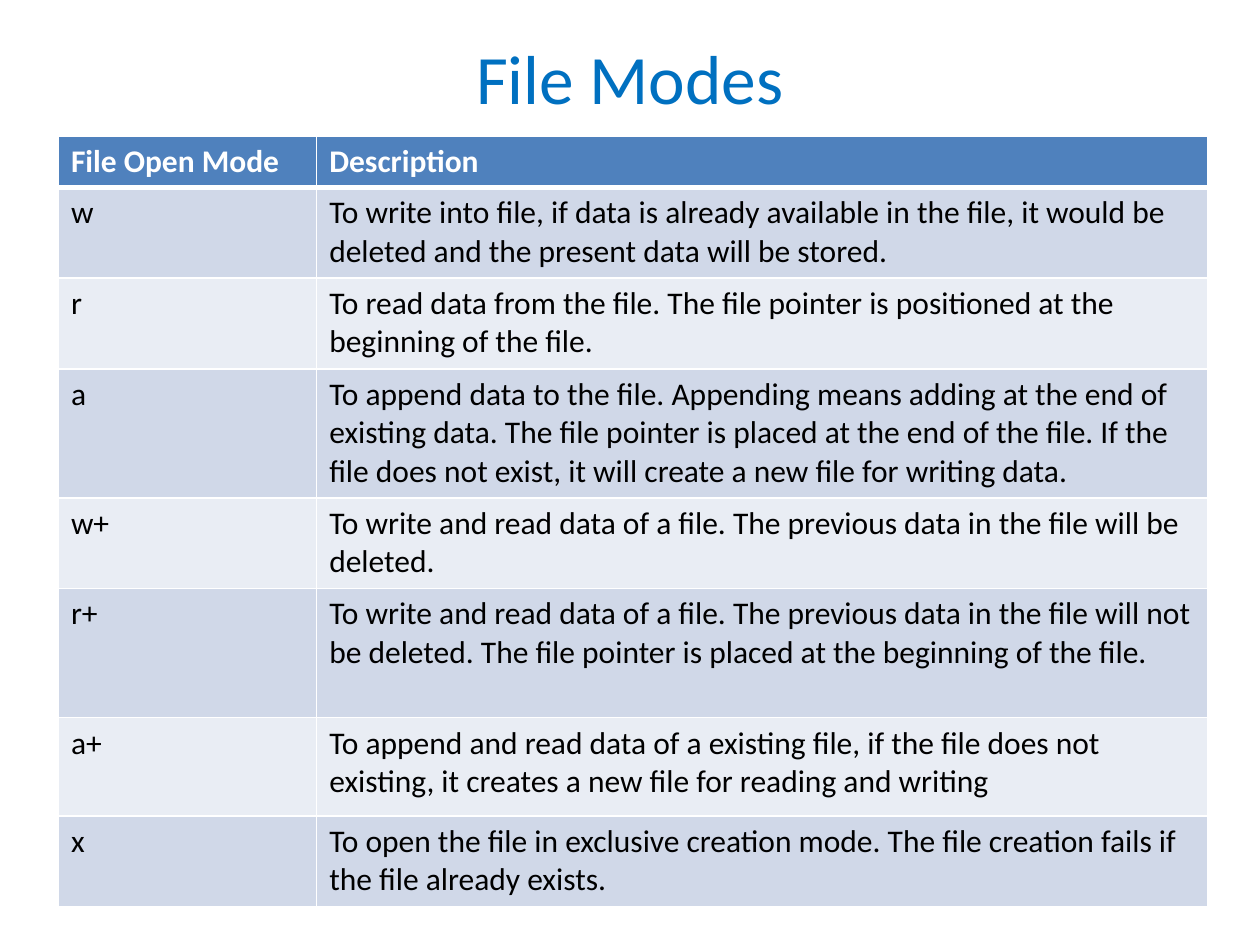
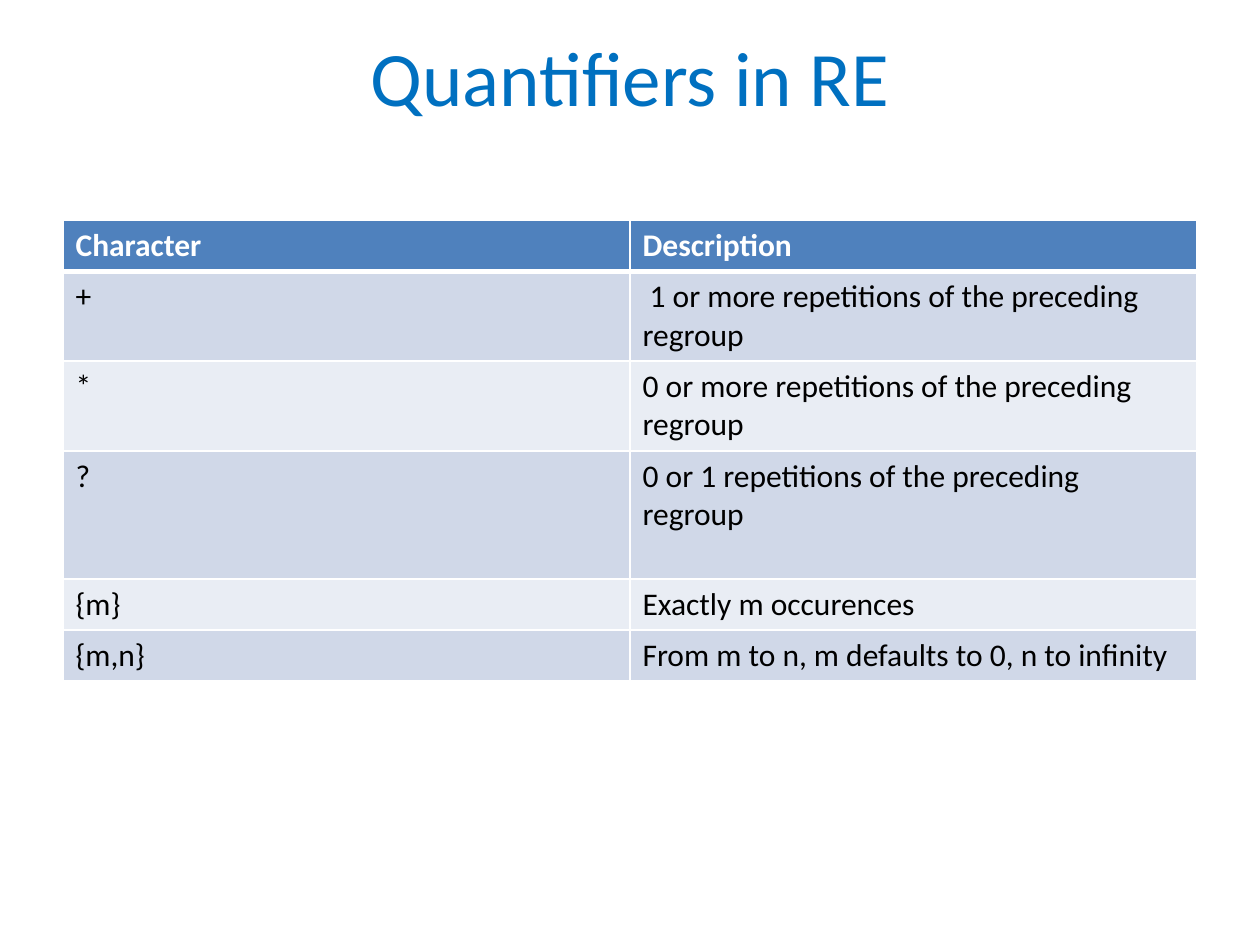
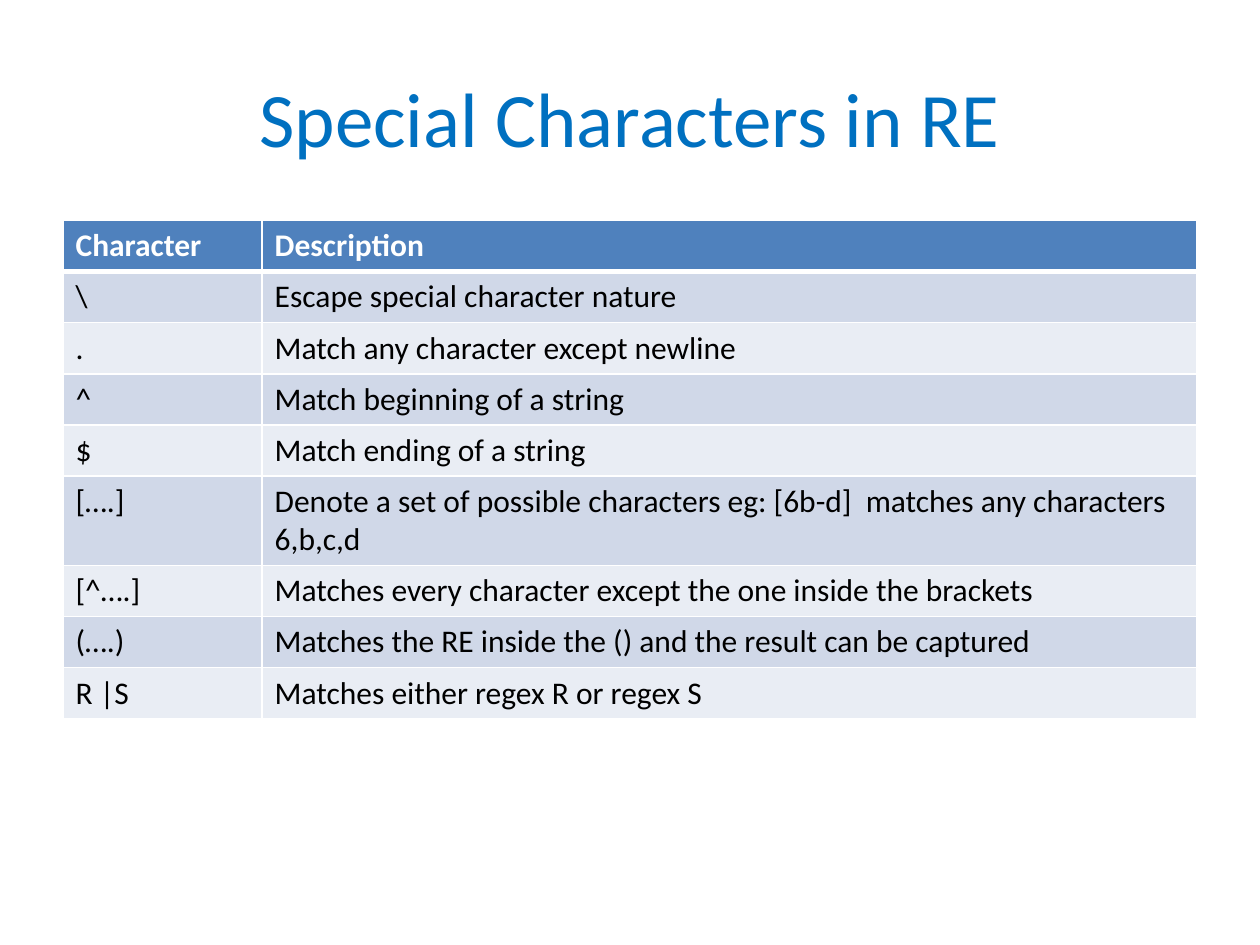
import pptx
import pptx.dml.color
import pptx.enum.text
import pptx.oxml
import pptx.oxml.ns
import pptx.util

Pt = pptx.util.Pt
RGBColor = pptx.dml.color.RGBColor

FONT = "Calibri"
TITLE_BLUE = RGBColor(0x00, 0x70, 0xC0)
HEADER_BLUE = RGBColor(0x4F, 0x81, 0xBD)
BAND_DARK = RGBColor(0xD0, 0xD8, 0xE8)
BAND_LIGHT = RGBColor(0xE9, 0xED, 0xF4)
WHITE = RGBColor(0xFF, 0xFF, 0xFF)
BLACK = RGBColor(0x00, 0x00, 0x00)

ONE_LINE, TWO_LINES, THREE_LINES = 29.2, 51.2, 73.2

# Each table row holds its height, key and description.
SLIDES = [
    {
        "title": "File Modes", "title_size": 39.6, "title_top": 21.6, "title_height": 44.6,
        "left": 33.4, "top": 78, "columns": [147.6, 509],
        "rows": [
            (ONE_LINE, "File Open Mode", "Description"),
            (51.8, "w", "To write into file, if data is already available in the file, it would be "
                        "deleted and the present data will be stored."),
            (51.8, "r", "To read data from the file. The file pointer is positioned at the "
                        "beginning of the file."),
            (73.8, "a", "To append data to the file. Appending means adding at the end of "
                        "existing data. The file pointer is placed at the end of the file. If the "
                        "file does not exist, it will create a new file for writing data."),
            (51.8, "w+", "To write and read data of a file. The previous data in the file will be "
                         "deleted."),
            (73.8, "r+", "To write and read data of a file. The previous data in the file will not "
                         "be deleted. The file pointer is placed at the beginning of the file."),
            (56.2, "a+", "To append and read data of a existing file, if the file does not "
                         "existing, it creates a new file for reading and writing"),
            (51.8, "x", "To open the file in exclusive creation mode. The file creation fails if "
                        "the file already exists."),
        ],
    },
    {
        "title": "Quantifiers in RE", "title_size": 44, "title_top": 12.2, "title_height": 62.6,
        "left": 36, "top": 126, "columns": [324, 324],
        "rows": [
            (ONE_LINE, "Character", "Description"),
            (TWO_LINES, "+", " 1 or more repetitions of the preceding regroup"),
            (TWO_LINES, "*", "0 or more repetitions of the preceding regroup"),
            (THREE_LINES, "?", "0 or 1 repetitions of the preceding regroup"),
            (ONE_LINE, "{m}", "Exactly m occurences"),
            (ONE_LINE, "{m,n}", "From m to n, m defaults to 0, n to infinity"),
        ],
    },
    {
        "title": "Special Characters in RE", "title_size": 44, "title_top": 21.6, "title_height": 90,
        "left": 36, "top": 126, "columns": [113.8, 534.2],
        "rows": [
            (ONE_LINE, "Character", "Description"),
            (ONE_LINE, "\\", "Escape special character nature"),
            (ONE_LINE, ".", "Match any character except newline"),
            (ONE_LINE, "^", "Match beginning of a string"),
            (ONE_LINE, "$", "Match ending of a string"),
            (TWO_LINES, "[….]", "Denote a set of possible characters eg: [6b-d]  matches any "
                                "characters 6,b,c,d"),
            (ONE_LINE, "[^….]", "Matches every character except the one inside the brackets"),
            (ONE_LINE, "(….)", "Matches the RE inside the () and the result can be captured"),
            (ONE_LINE, "R |S", "Matches either regex R or regex S"),
        ],
    },
]


def style_text(paragraph, size, color, bold=False):
    for span in paragraph.runs:
        span.font.name = FONT
        span.font.size = Pt(size)
        span.font.bold = bold
        span.font.color.rgb = color


def set_borders(cell, top, bottom):
    """Draw white cell edges; top and bottom widths are in points."""
    properties = cell._tc.get_or_add_tcPr()
    widths = {"lnL": 1, "lnR": 1, "lnT": top, "lnB": bottom}
    for position, (edge, width) in enumerate(widths.items()):
        line = pptx.oxml.parse_xml(
            f'<a:{edge} {pptx.oxml.ns.nsdecls("a")} w="{Pt(width)}">'
            f'<a:solidFill><a:srgbClr val="{WHITE}"/></a:solidFill></a:{edge}>'
        )
        properties.insert(position, line)


deck = pptx.Presentation()
deck.slide_width = Pt(720)
deck.slide_height = Pt(540)
title_only = deck.slide_layouts[5]

for content in SLIDES:
    page = deck.slides.add_slide(title_only)

    title = page.shapes.title
    title.left, title.top = Pt(36), Pt(content["title_top"])
    title.width, title.height = Pt(648), Pt(content["title_height"])
    frame = title.text_frame
    frame.text = content["title"]
    frame.word_wrap = True
    frame.auto_size = pptx.enum.text.MSO_AUTO_SIZE.NONE
    frame.vertical_anchor = pptx.enum.text.MSO_ANCHOR.MIDDLE
    frame.paragraphs[0].alignment = pptx.enum.text.PP_ALIGN.CENTER
    style_text(frame.paragraphs[0], content["title_size"], TITLE_BLUE)

    rows, columns = content["rows"], content["columns"]
    table = page.shapes.add_table(
        len(rows), len(columns), Pt(content["left"]), Pt(content["top"]),
        Pt(sum(columns)), Pt(sum(row[0] for row in rows)),
    ).table
    for column, width in zip(table.columns, columns):
        column.width = Pt(width)

    for row_index, (height, *texts) in enumerate(rows):
        table.rows[row_index].height = Pt(height)
        is_header = row_index == 0
        band = BAND_DARK if row_index % 2 else BAND_LIGHT
        for column_index, text in enumerate(texts):
            cell = table.cell(row_index, column_index)
            cell.text_frame.text = text
            style_text(cell.text_frame.paragraphs[0], 18, WHITE if is_header else BLACK, is_header)
            cell.fill.solid()
            cell.fill.fore_color.rgb = HEADER_BLUE if is_header else band
            set_borders(cell, top=3 if row_index == 1 else 1, bottom=3 if is_header else 1)

deck.save("out.pptx")
